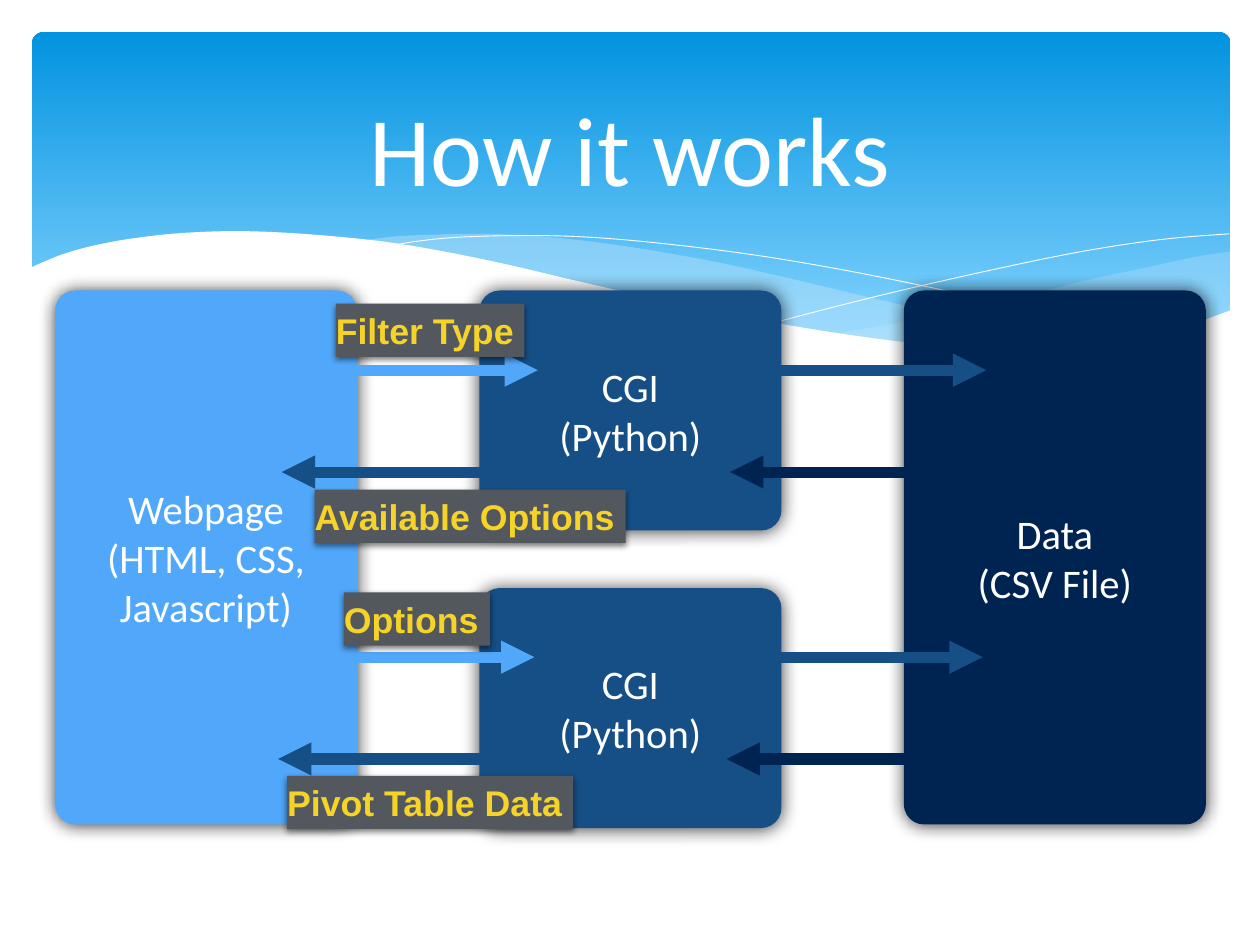
from lxml.etree import SubElement
from pptx import Presentation
from pptx.dml.color import RGBColor
from pptx.enum.shapes import MSO_CONNECTOR, MSO_SHAPE
from pptx.enum.text import MSO_ANCHOR, MSO_AUTO_SIZE, PP_ALIGN
from pptx.oxml.ns import qn
from pptx.util import Pt

PX = 9144  # 100 px to the inch
WHITE, SKY, BLUE, NAVY = "FFFFFF", "51A7F9", "164F86", "002452"
BOX_SHADOW = dict(alpha=75, blur=15, distance=0.7)
LABEL_SHADOW = dict(alpha=50, blur=5, distance=2)


def color(hex_string):
    return RGBColor.from_string(hex_string)


def write(frame, text, size, font="Calibri", ink=WHITE, bold=False,
          align=PP_ALIGN.CENTER, margins=(0, 0)):
    """Fill a text frame, one paragraph for each line of text."""
    frame.text = text
    frame.word_wrap = True
    frame.auto_size = MSO_AUTO_SIZE.NONE
    frame.vertical_anchor = MSO_ANCHOR.MIDDLE
    frame.margin_left = frame.margin_right = margins[0] * PX
    frame.margin_top = frame.margin_bottom = margins[1] * PX
    for paragraph in frame.paragraphs:
        paragraph.alignment = align
        style = paragraph.runs[0].font
        style.name, style.size, style.bold = font, Pt(size), bold
        style.color.rgb = color(ink)


def smooth_curve(points, steps=6):
    """Return a Catmull-Rom curve through the given points."""
    padded = [points[0], *points, points[-1]]
    curve = [points[0]]
    for a, b, c, d in zip(padded, padded[1:], padded[2:], padded[3:]):
        for step in range(1, steps + 1):
            t = step / steps
            curve.append(tuple(
                (2 * q + (r - p) * t + (2 * p - 5 * q + 4 * r - s) * t ** 2
                 + (3 * q - p - 3 * r + s) * t ** 3) / 2
                for p, q, r, s in zip(a, b, c, d)))
    return curve


class FlowSlide:
    def __init__(self, slide):
        self.slide = slide
        self.shapes = slide.shapes

    def title(self, text, x, y, w, h):
        title = self.shapes.title
        title.left, title.top, title.width, title.height = (
            v * PX for v in (x, y, w, h))
        write(title.text_frame, text, 80, margins=(14, 7))
        self.shapes.element.append(title.element)  # above the header waves

    def block(self, kind, x, y, w, h, fill=None, radius=0, shadow=None):
        block = self.shapes.add_shape(kind, *(v * PX for v in (x, y, w, h)))
        if radius:
            block.adjustments[0] = radius / min(w, h)
        block.line.fill.background()
        block.shadow.inherit = False
        if fill:
            block.fill.solid()
            block.fill.fore_color.rgb = color(fill)
        if shadow:
            self.cast_shadow(block, **shadow)
        return block

    def cast_shadow(self, block, alpha, blur, distance):
        effects = block.element.spPr.find(qn("a:effectLst"))
        outer = SubElement(effects, qn("a:outerShdw"), blurRad=str(Pt(blur)),
                           dist=str(Pt(distance)), dir="5400000", rotWithShape="0")
        tone = SubElement(outer, qn("a:srgbClr"), val="000000")
        SubElement(tone, qn("a:alpha"), val=str(alpha * 1000))

    def header(self, x, y, w, h, top, bottom):
        panel = self.block(MSO_SHAPE.ROUNDED_RECTANGLE, x, y, w, h, radius=13)
        panel.fill.gradient()
        panel.fill.gradient_angle = 270
        for stop, shade, position in zip(panel.fill.gradient_stops,
                                         (top, bottom), (0, 0.9)):
            stop.color.rgb, stop.position = color(shade), position

    def wave(self, *edges, fill=None, opacity=100):
        """Draw a filled band between edges, or a hairline without a fill."""
        outline = [(round(x * PX), round(y * PX))
                   for edge in edges for x, y in smooth_curve(edge)]
        builder = self.shapes.build_freeform(*outline[0])
        builder.add_line_segments(outline[1:], close=bool(fill))
        wave = builder.convert_to_shape()
        wave.shadow.inherit = False
        if fill:
            wave.line.fill.background()
            wave.fill.solid()
            wave.fill.fore_color.rgb = color(fill)
            tone = wave.element.spPr.find(qn("a:solidFill"))[0]
            SubElement(tone, qn("a:alpha"), val=str(opacity * 1000))
        else:
            wave.fill.background()
            wave.line.color.rgb = color(WHITE)
            wave.line.width = Pt(0)

    def box(self, text, x, y, h, fill):
        box = self.block(MSO_SHAPE.ROUNDED_RECTANGLE, x, y, 341, h, fill,
                         radius=23, shadow=BOX_SHADOW)
        write(box.text_frame, text, 33)

    def arrow(self, start, end, y, ink):
        arrow = self.shapes.add_connector(
            MSO_CONNECTOR.STRAIGHT, start * PX, y * PX, end * PX, y * PX)
        arrow.line.color.rgb = color(ink)
        arrow.line.width = Pt(9)
        SubElement(arrow.line._get_or_add_ln(), qn("a:tailEnd"), type="triangle")
        SubElement(arrow.element.spPr, qn("a:effectLst"))

    def label(self, text, x, y, w):
        label = self.block(MSO_SHAPE.RECTANGLE, x, y, w, 60, "53585F",
                           shadow=LABEL_SHADOW)
        write(label.text_frame, text, 29, font="Arial", ink="F5D328",
              bold=True, align=PP_ALIGN.LEFT)


def main():
    deck = Presentation()
    deck.slide_width, deck.slide_height = 1422 * PX, 1067 * PX
    flow = FlowSlide(deck.slides.add_slide(deck.slide_layouts[5]))

    # Header with waves
    flow.header(36, 36, 1353, 384, "0293E0", "83D3FE")
    flow.wave(
        [(1388, 284), (1349, 290), (1289, 303), (1224, 317), (1145, 337),
         (1072, 353), (1004, 366), (941, 377)],
        [(941, 377), (1002, 385), (1076, 392), (1142, 395), (1201, 393),
         (1252, 388), (1299, 380), (1340, 369), (1388, 351)],
        fill="C6E7FC", opacity=29)
    flow.wave(
        [(1270, 388), (1191, 377), (1102, 362), (1004, 341), (894, 315),
         (809, 296), (731, 282), (661, 272), (597, 266), (540, 264),
         (489, 265), (445, 267), (407, 272)],
        [(407, 272), (459, 279), (515, 288), (575, 300), (639, 315),
         (753, 342), (855, 363), (946, 379), (1027, 389), (1099, 395),
         (1163, 396), (1220, 394), (1270, 388)],
        fill="C6E7FC", opacity=40)
    flow.wave([(440, 278), (467, 273), (516, 268), (592, 266), (667, 268),
               (757, 276), (865, 290), (989, 312), (1131, 343), (1290, 386)])
    flow.wave([(872, 365), (928, 350), (1025, 326), (1146, 299),
               (1232, 282), (1314, 270), (1387, 264)])
    flow.wave(
        [(1390, 350), (1323, 373), (1245, 388), (1150, 393), (1059, 390),
         (951, 377), (824, 355), (676, 323), (556, 295), (449, 275),
         (355, 265), (275, 261), (207, 263), (151, 269), (107, 277),
         (74, 286), (51, 295), (33, 303)],
        [(33, 468), (1390, 468)], fill=WHITE)
    flow.title("How it works", 104, 48, 1214, 236)

    # Stages
    for cgi_top in (328, 664):
        flow.box("CGI\n(Python)", 541, cgi_top, 271, BLUE)
    flow.box("Webpage\n(HTML, CSS, Javascript)", 62, 328, 603, SKY)
    flow.box("Data\n(CSV File)", 1020, 328, 603, NAVY)

    # Requests go right, replies come back 115 px lower
    for left, request_y in ((318, 418), (314, 742)):
        for start, request_ink, reply_ink in ((left, SKY, BLUE),
                                              (left + 506, BLUE, NAVY)):
            end = start + 289
            flow.arrow(start, end, request_y, request_ink)
            flow.arrow(end, start, request_y + 115, reply_ink)

    # Messages
    for message, x, y, w in (("Filter Type", 379, 343, 213),
                             ("Available Options", 355, 553, 351),
                             ("Options", 388, 669, 165),
                             ("Pivot Table Data", 324, 876, 323)):
        flow.label(message, x, y, w)

    deck.save("out.pptx")


if __name__ == "__main__":
    main()
